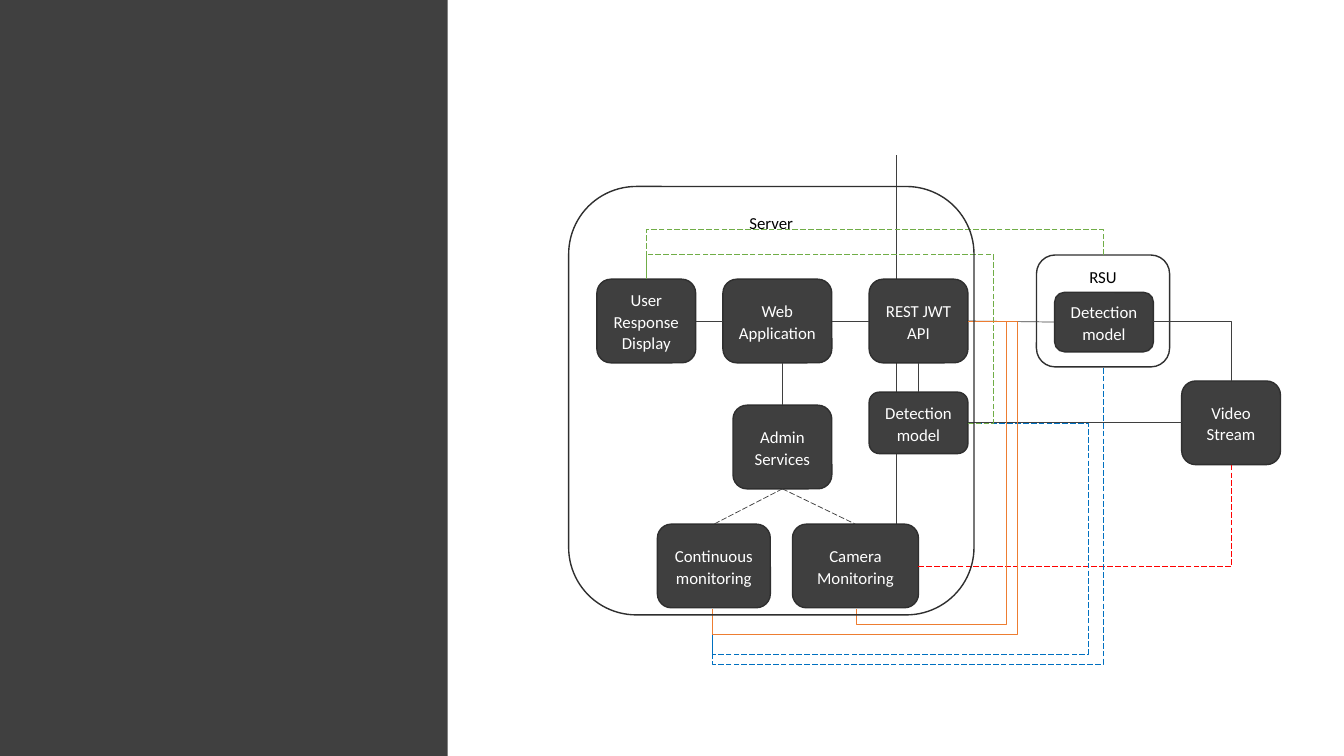
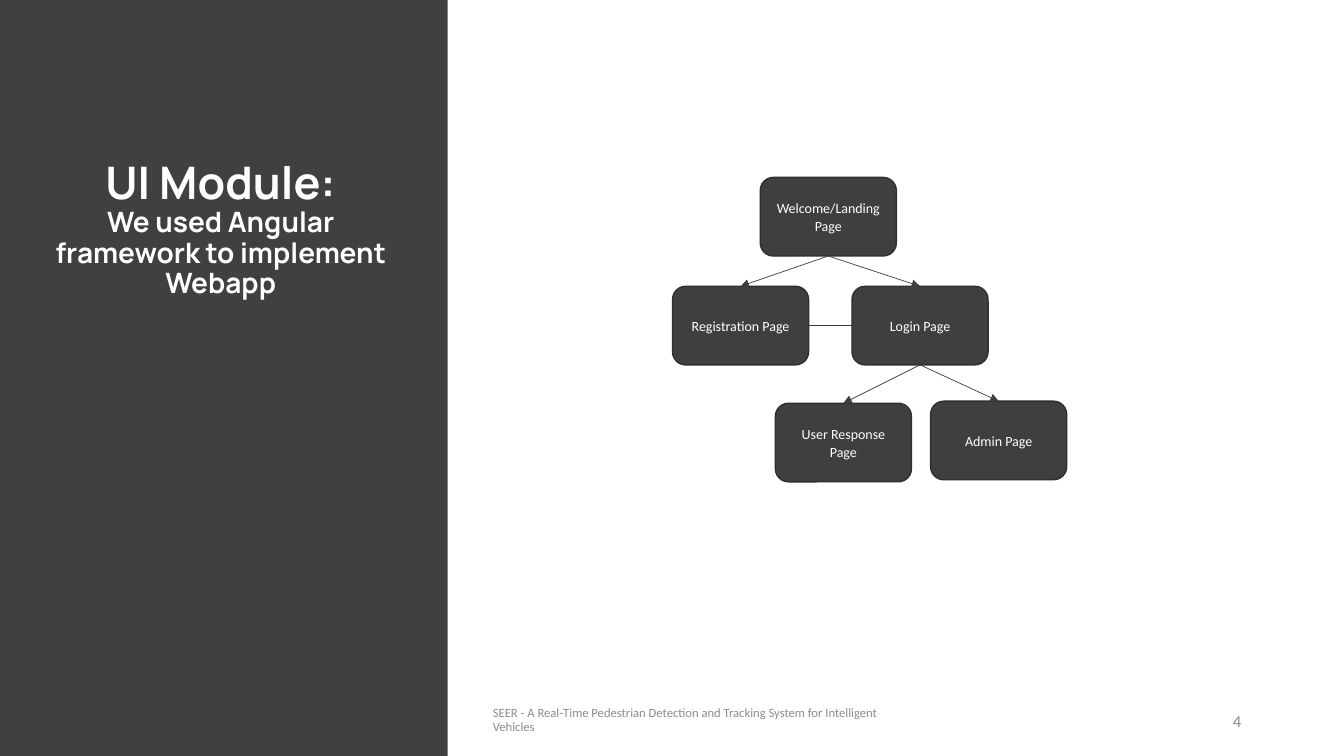
"""Build the system architecture and UI module slides."""
from lxml import etree
from pptx import Presentation
from pptx.dml.color import RGBColor
from pptx.enum import dml, shapes, text
from pptx.oxml import ns
from pptx.util import Inches, Pt

PANEL = RGBColor(0x40, 0x40, 0x40)
BOX = RGBColor(0x3F, 0x3F, 0x3F)
OUTLINE = RGBColor(0x2F, 0x2F, 0x2F)
WHITE = RGBColor(0xFF, 0xFF, 0xFF)
BLACK = RGBColor(0, 0, 0)
MUTED = RGBColor(0x8C, 0x8C, 0x8C)
RED = RGBColor(0xFF, 0, 0)
BLUE = RGBColor(0, 0x70, 0xC0)
GREEN = RGBColor(0x70, 0xAD, 0x47)
ORANGE = RGBColor(0xED, 0x7D, 0x31)
TOP, LEFT, BOTTOM, RIGHT = range(4)


def add_box(slide, label, place, size=12, container=False):
    box = slide.shapes.add_shape(shapes.MSO_SHAPE.ROUNDED_RECTANGLE, *map(Inches, place))
    box.shadow.inherit = False
    if container:
        box.fill.background()
    else:
        box.fill.solid()
        box.fill.fore_color.rgb = BOX
    box.line.color.rgb = OUTLINE
    box.line.width = Pt(1)
    frame = box.text_frame
    frame.text = label
    frame.word_wrap = True
    frame.vertical_anchor = text.MSO_ANCHOR.TOP if container else text.MSO_ANCHOR.MIDDLE
    paragraph = frame.paragraphs[0]
    paragraph.alignment = text.PP_ALIGN.CENTER
    paragraph.line_spacing = 1.07
    paragraph.space_after = Pt(8)
    font = paragraph.runs[0].font
    font.name, font.size = "Calibri", Pt(size)
    font.color.rgb = BLACK if container else WHITE
    return box


def add_link(slide, start, start_side, end, end_side, dashed=False, arrow=False):
    link = slide.shapes.add_connector(shapes.MSO_CONNECTOR.STRAIGHT, 0, 0, 0, 0)
    link.begin_connect(start, start_side)
    link.end_connect(end, end_side)
    link.line.color.rgb = BOX
    link.line.width = Pt(0.5)
    if dashed:
        link.line.dash_style = dml.MSO_LINE.LONG_DASH
    properties = link._element.spPr
    if arrow:
        etree.SubElement(properties.find(ns.qn("a:ln")), ns.qn("a:tailEnd"), type="triangle")
    etree.SubElement(properties, ns.qn("a:effectLst"))
    return link


prs = Presentation()
prs.slide_width, prs.slide_height = Inches(13.33), Inches(7.5)

architecture = prs.slides.add_slide(prs.slide_layouts[6])

side_panel = architecture.shapes.add_shape(
    shapes.MSO_SHAPE.RECTANGLE, 0, 0, Inches(4.44), prs.slide_height)
side_panel.shadow.inherit = False
side_panel.fill.solid()
side_panel.fill.fore_color.rgb = PANEL
side_panel.line.fill.background()
side_panel._element.nvSpPr.cNvPr.set("id", "100")
prs.slide_master.shapes._spTree.insert(2, side_panel._element)

divider = architecture.shapes.add_connector(
    shapes.MSO_CONNECTOR.STRAIGHT, Inches(8.89), Inches(1.54), Inches(8.89), Inches(5.54))
divider.line.color.rgb = BOX
divider.line.width = Pt(1)
etree.SubElement(divider._element.spPr, ns.qn("a:effectLst"))

components = {}
for key, label, place in [
    ("web", "Web Application", (7.17, 2.77, 1.08, 0.83)),
    ("api", "REST JWT API", (8.62, 2.77, 0.98, 0.83)),
    ("rsu model", "Detection model", (10.46, 2.9, 0.98, 0.59)),
    ("display", "User Response Display", (5.92, 2.77, 0.98, 0.83)),
    ("admin", "Admin Services", (7.27, 4.02, 0.98, 0.83)),
    ("continuous", "Continuous monitoring", (6.52, 5.2, 1.12, 0.83)),
    ("camera", "Camera Monitoring", (7.86, 5.2, 1.25, 0.83)),
    ("video", "Video Stream", (11.72, 3.78, 0.98, 0.83)),
    ("server model", "Detection model", (8.62, 3.89, 0.98, 0.61)),
]:
    components[key] = add_box(architecture, label, place)
add_box(architecture, "RSU", (10.28, 2.53, 1.32, 1.11), container=True)

for start, start_side, end, end_side, dashed in [
    ("api", LEFT, "web", RIGHT, False),
    ("api", RIGHT, "rsu model", LEFT, False),
    ("web", LEFT, "display", RIGHT, False),
    ("server model", TOP, "api", BOTTOM, False),
    ("video", LEFT, "server model", RIGHT, False),
    ("admin", BOTTOM, "continuous", TOP, True),
    ("admin", BOTTOM, "camera", TOP, True),
]:
    add_link(architecture, components[start], start_side, components[end], end_side, dashed)
admin_link = add_link(architecture, components["web"], BOTTOM, components["admin"], TOP)
admin_link.begin_x = admin_link.end_x

for color, dashed, route in [
    (BOX, False, [(12.21, 3.78), (12.21, 3.19), (11.44, 3.19)]),
    (RED, True, [(12.21, 4.61), (12.21, 5.62), (9.11, 5.62)]),
    (BLUE, True, [(9.6, 4.2), (10.79, 4.2), (10.79, 6.49), (7.07, 6.49), (7.07, 6.04)]),
    (BLUE, True, [(10.94, 3.65), (10.94, 6.59), (7.07, 6.59), (7.07, 6.04)]),
    (GREEN, True, [(10.94, 2.53), (10.94, 2.28), (6.41, 2.28), (6.41, 2.77)]),
    (GREEN, True, [(9.6, 4.2), (9.85, 4.2), (9.85, 2.52), (6.41, 2.52), (6.41, 2.77)]),
    (ORANGE, False, [(9.6, 3.19), (9.98, 3.19), (9.98, 6.19), (8.49, 6.19), (8.49, 6.04)]),
    (ORANGE, False, [(9.6, 3.19), (10.09, 3.19), (10.09, 6.29), (7.07, 6.29), (7.07, 6.04)]),
]:
    corners = [(Inches(x), Inches(y)) for x, y in route]
    builder = architecture.shapes.build_freeform(*corners[0])
    builder.add_line_segments(corners[1:], close=False)
    flow = builder.convert_to_shape()
    flow.shadow.inherit = False
    flow.fill.background()
    flow.line.color.rgb = color
    flow.line.width = Pt(0.5)
    if dashed:
        flow.line.dash_style = dml.MSO_LINE.LONG_DASH

add_box(architecture, "Server", (5.64, 1.85, 4.02, 4.25), container=True)

ui_module = prs.slides.add_slide(prs.slide_layouts[5])
title = ui_module.shapes.title
title.left, title.top, title.width, title.height = map(Inches, (0.3, 1.54, 3.78, 4.77))
heading = title.text_frame
heading.text = "UI Module:\nWe used Angular framework to implement Webapp"
heading.word_wrap = True
heading.auto_size = text.MSO_AUTO_SIZE.NONE
heading.vertical_anchor = text.MSO_ANCHOR.TOP
for paragraph, size in zip(heading.paragraphs, (32, 20)):
    paragraph.alignment = text.PP_ALIGN.CENTER
    paragraph.line_spacing = 0.9
    font = paragraph.runs[0].font
    font.name, font.size, font.bold = "Manrope", Pt(size), True
    font.color.rgb = WHITE

for wording, left, width, size, alignment, spacing in [
    ("SEER - A Real-Time Pedestrian Detection and Tracking System for Intelligent Vehicles",
     4.79, 4.44, 9, text.PP_ALIGN.LEFT, 0.9),
    ("4", 10.06, 2.35, 12, text.PP_ALIGN.RIGHT, 1.0),
]:
    footer = ui_module.shapes.add_textbox(
        Inches(left), Inches(6.95), Inches(width), Inches(0.4)).text_frame
    footer.text = wording
    footer.word_wrap = True
    footer.vertical_anchor = text.MSO_ANCHOR.MIDDLE
    paragraph = footer.paragraphs[0]
    paragraph.alignment = alignment
    paragraph.line_spacing = spacing
    paragraph.space_after = Pt(6)
    font = paragraph.runs[0].font
    font.name, font.size = "Calibri", Pt(size)
    font.color.rgb = MUTED

pages = {}
for label, left, top in [
    ("Welcome/Landing Page", 7.54, 1.76),
    ("Registration Page", 6.67, 2.84),
    ("Login Page", 8.45, 2.84),
    ("User Response Page", 7.69, 4),
    ("Admin Page", 9.23, 3.98),
]:
    pages[label] = add_box(ui_module, label, (left, top, 1.35, 0.78), size=10)

for parent, child in [
    ("Welcome/Landing Page", "Registration Page"),
    ("Welcome/Landing Page", "Login Page"),
    ("Login Page", "User Response Page"),
    ("Login Page", "Admin Page"),
]:
    add_link(ui_module, pages[parent], BOTTOM, pages[child], TOP, arrow=True)
add_link(ui_module, pages["Registration Page"], RIGHT, pages["Login Page"], LEFT)

prs.save("out.pptx")
